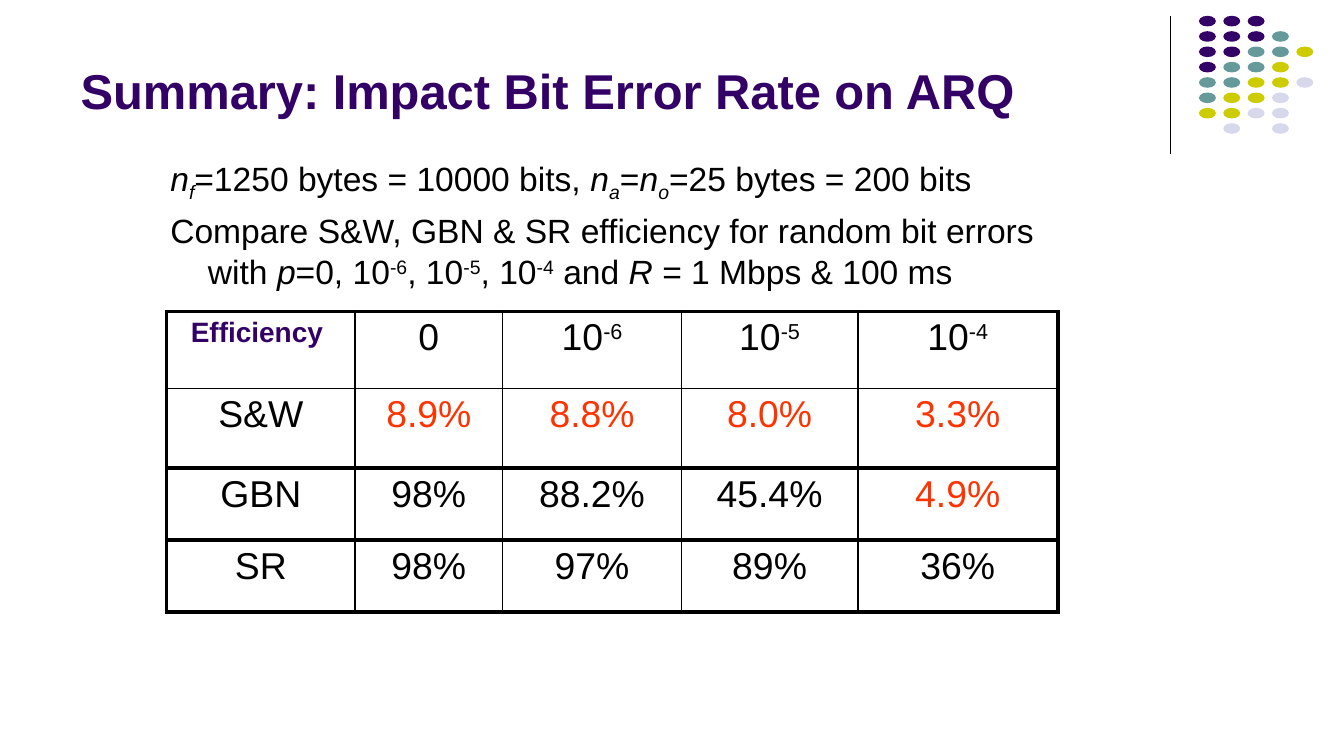
from lxml.etree import SubElement
from pptx import Presentation
from pptx.dml.color import RGBColor
from pptx.enum.shapes import MSO_CONNECTOR, MSO_SHAPE
from pptx.enum.text import MSO_ANCHOR, MSO_AUTO_SIZE, PP_ALIGN
from pptx.oxml.ns import qn
from pptx.util import Cm, Pt

BLACK = RGBColor(0x00, 0x00, 0x00)
PURPLE = RGBColor(0x33, 0x00, 0x66)
TEAL = RGBColor(0x66, 0x99, 0x99)
OLIVE = RGBColor(0xCC, 0xCC, 0x00)
LILAC = RGBColor(0xD8, 0xD8, 0xEC)
RED = RGBColor(0xFF, 0x33, 0x00)

FONT = "Arial"
THIN, THICK = Pt(1), Pt(2.25)

DOT_COLORS = {"P": PURPLE, "T": TEAL, "O": OLIVE, "L": LILAC}
DOT_ROWS = ["PPP", "PPPT", "PPTTO", "PTTO", "TTOOL", "TOOL", "OOLL", " L L"]

PLAIN = {}
ITALIC = {"italic": True}
SUB = {"italic": True, "baseline": -25}
SUP = {"baseline": 30}

BODY = [
    [("n", ITALIC), ("f", SUB), ("=1250 bytes = 10000 bits, ", PLAIN),
     ("n", ITALIC), ("a", SUB), ("=", PLAIN), ("n", ITALIC), ("o", SUB),
     ("=25 bytes = 200 bits", PLAIN)],
    [("Compare S&W, GBN & SR efficiency for random bit errors with ", PLAIN),
     ("p", ITALIC), ("=0, 10", PLAIN), ("-6", SUP), (", 10", PLAIN),
     ("-5", SUP), (", 10", PLAIN), ("-4", SUP), (" and ", PLAIN),
     ("R ", ITALIC), ("= 1 Mbps & 100 ms", PLAIN)],
]

COL_WIDTHS = [3.56, 2.79, 3.38, 3.33, 3.78]
ROW_HEIGHTS = [1.45, 1.51, 1.36, 1.36]
HEADER = [
    [("Efficiency ", {"size": Pt(15), "bold": True, "color": PURPLE})],
    [("0", PLAIN)],
    *([("10", PLAIN), (power, SUP)] for power in ("-6", "-5", "-4")),
]
EFFICIENCY = [
    ["S&W", "8.9%", "8.8%", "8.0%", "3.3%"],
    ["GBN", "98%", "88.2%", "45.4%", "4.9%"],
    ["SR", "98%", "97%", "89%", "36%"],
]
LOW_VALUES = {"8.9%", "8.8%", "8.0%", "3.3%", "4.9%"}


def add_runs(p, runs, size):
    """Fill a paragraph with (text, style) runs; baseline is in percent."""
    for text, style in runs:
        r = p.add_run()
        r.text = text
        fmt = {"name": FONT, "size": size, "color": BLACK, **style}
        r.font.color.rgb = fmt.pop("color")
        baseline = fmt.pop("baseline", None)
        for key, value in fmt.items():
            setattr(r.font, key, value)
        if baseline:
            r.font._element.set("baseline", str(baseline * 1000))


def add_dots(slide):
    group = slide.shapes.add_group_shape()
    for row, codes in enumerate(DOT_ROWS):
        for col, code in enumerate(codes):
            if code == " ":
                continue
            sp = group.shapes.add_shape(
                MSO_SHAPE.OVAL, Cm(22.66 + 0.46 * col), Cm(0.3 + 0.29 * row),
                Cm(0.32), Cm(0.2))
            sp.shadow.inherit = False
            sp.fill.solid()
            sp.fill.fore_color.rgb = DOT_COLORS[code]
            sp.line.fill.background()


def add_divider(slide):
    line = slide.shapes.add_connector(
        MSO_CONNECTOR.STRAIGHT, Cm(22.12), Cm(0.3), Cm(22.12), Cm(2.92))
    line.line.color.rgb = BLACK
    line.line.width = Pt(0.75)
    SubElement(line._element.spPr, qn("a:effectLst"))


def set_title(slide, text):
    title = slide.shapes.title
    title.left, title.top, title.width, title.height = (
        Cm(1.27), Cm(0.25), Cm(20.96), Cm(2.13))
    tf = title.text_frame
    tf.auto_size = MSO_AUTO_SIZE.NONE
    tf.vertical_anchor = MSO_ANCHOR.BOTTOM
    p = tf.paragraphs[0]
    p.alignment = PP_ALIGN.LEFT
    add_runs(p, [(text, {"bold": True, "color": PURPLE})], Pt(26.2))


def add_body(slide):
    tf = slide.shapes.add_textbox(
        Cm(2.97), Cm(2.86), Cm(18.03), Cm(1.8)).text_frame
    tf.word_wrap = True
    for i, runs in enumerate(BODY):
        p = tf.add_paragraph() if i else tf.paragraphs[0]
        p.space_before = Pt(3.6 if i else 0)
        pPr = p._p.get_or_add_pPr()
        pPr.set("marL", str(Cm(0.71)))
        pPr.set("indent", str(-Cm(0.71)))
        add_runs(p, runs, Pt(18))


def set_borders(cell, widths):
    tcPr = cell._tc.get_or_add_tcPr()
    for side, width in widths.items():
        ln = SubElement(tcPr, qn(f"a:ln{side}"), w=str(width))
        fill = SubElement(ln, qn("a:solidFill"))
        SubElement(fill, qn("a:srgbClr"), val=str(BLACK))


def fill_cell(cell, runs):
    for side in ("left", "right"):
        setattr(cell, f"margin_{side}", Cm(0.18))
    for side in ("top", "bottom"):
        setattr(cell, f"margin_{side}", Cm(0.1))
    cell.fill.background()
    p = cell.text_frame.paragraphs[0]
    p.alignment = PP_ALIGN.CENTER
    add_runs(p, runs, Pt(20))


def add_efficiency_table(slide):
    rows = HEADER, *(
        [[(text, {"color": RED if text in LOW_VALUES else BLACK})]
         for text in row] for row in EFFICIENCY)
    table = slide.shapes.add_table(
        len(rows), len(COL_WIDTHS), Cm(3.15), Cm(5.89),
        Cm(sum(COL_WIDTHS)), Cm(sum(ROW_HEIGHTS))).table
    table.first_row = table.horz_banding = False
    for column, width in zip(table.columns, COL_WIDTHS):
        column.width = Cm(width)
    for row, height in zip(table.rows, ROW_HEIGHTS):
        row.height = Cm(height)

    # Only the rule under the header and the inner verticals are thin.
    last = len(COL_WIDTHS) - 1
    for i, row in enumerate(rows):
        for j, runs in enumerate(row):
            cell = table.cell(i, j)
            set_borders(cell, {
                "L": THICK if j == 0 else THIN,
                "R": THICK if j == last else THIN,
                "T": THIN if i == 1 else THICK,
                "B": THIN if i == 0 else THICK,
            })
            fill_cell(cell, runs)


def main():
    prs = Presentation()
    prs.slide_width, prs.slide_height = Cm(25.4), Cm(14.29)
    slide = prs.slides.add_slide(prs.slide_layouts[5])
    add_divider(slide)
    add_dots(slide)
    set_title(slide, "Summary: Impact Bit Error Rate on ARQ")
    add_body(slide)
    add_efficiency_table(slide)
    prs.save("out.pptx")


if __name__ == "__main__":
    main()
